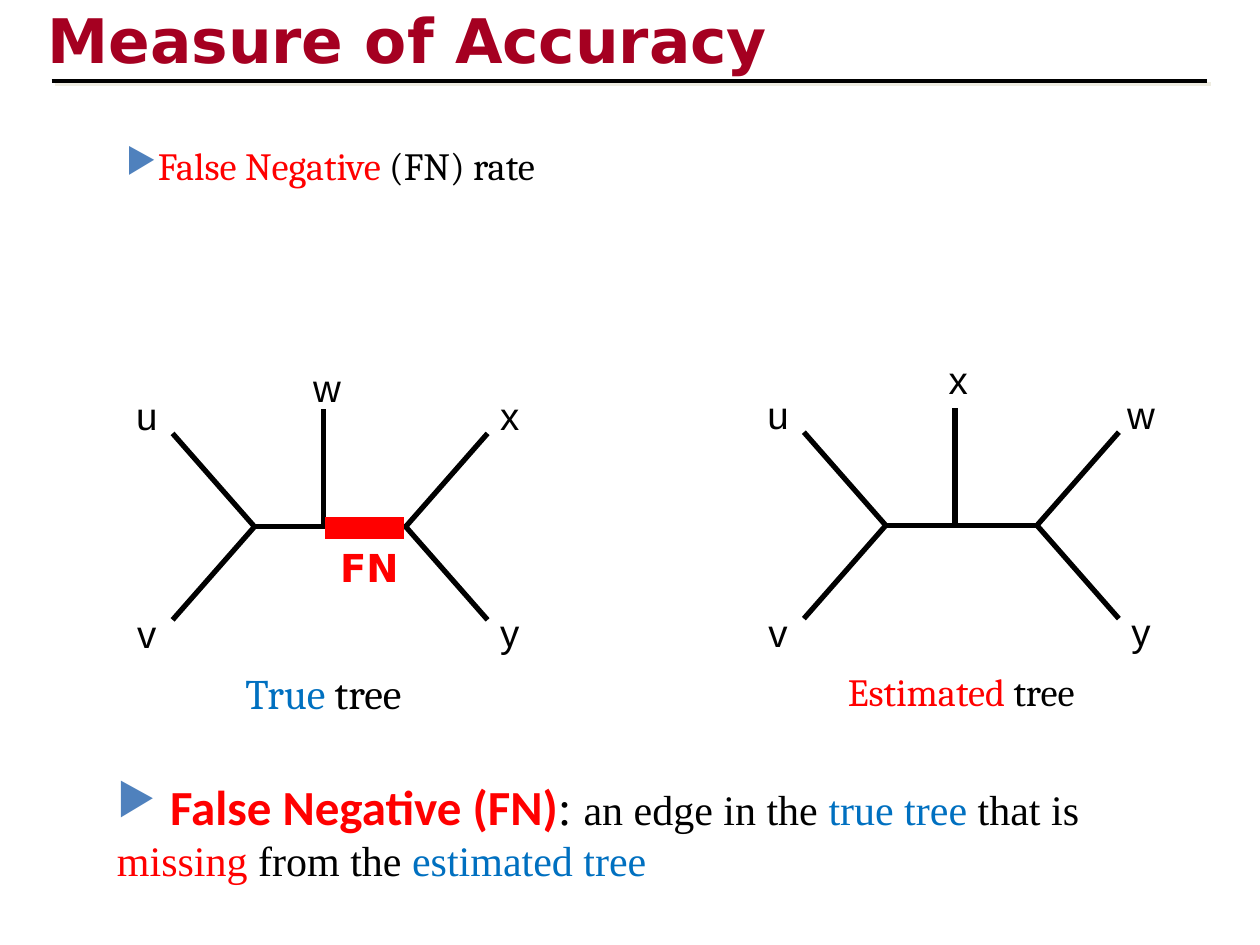
from dataclasses import dataclass

from lxml import etree
from pptx import Presentation
from pptx.dml.color import RGBColor
from pptx.enum.shapes import MSO_CONNECTOR
from pptx.enum.text import MSO_ANCHOR, PP_ALIGN
from pptx.oxml.ns import qn
from pptx.util import Inches, Pt


@dataclass(frozen=True)
class Theme:
    black: str = "000000"
    title: str = "A50021"
    red: str = "FF0000"
    blue: str = "0070C0"
    bullet: str = "4F81BD"
    shadow: str = "EEECE1"
    sans: str = "DejaVu Sans"
    label: str = "Arial"
    serif: str = "Cambria"
    body: str = "Times New Roman"
    strong: str = "Calibri"
    title_size: float = 35.1
    term_size: int = 28
    large: int = 24
    normal: int = 22


theme = Theme()


def add_text(area, runs, bullet=False, centered=False):
    """Add one paragraph of (text, size, font, colour, bold) runs in an area in inches."""
    box = page.shapes.add_textbox(*map(Inches, area))
    frame = box.text_frame
    frame.word_wrap = True
    para = frame.paragraphs[0]
    if centered:
        frame.margin_left = frame.margin_right = 0
        frame.margin_top = frame.margin_bottom = 0
        frame.vertical_anchor = MSO_ANCHOR.MIDDLE
        para.alignment = PP_ALIGN.CENTER
    if bullet:
        properties = para._p.get_or_add_pPr()
        color = etree.SubElement(properties, qn("a:buClr"))
        etree.SubElement(color, qn("a:srgbClr"), val=theme.bullet)
        etree.SubElement(properties, qn("a:buSzPct"), val="90000")
        etree.SubElement(properties, qn("a:buChar"), char="▶")
    for text, size, font, color, bold in runs:
        span = para.add_run()
        span.text = text
        span.font.size = Pt(size)
        span.font.name = font
        span.font.bold = bold
        span.font.color.rgb = RGBColor.from_string(color)
    return para


def add_line(start, end, width, color=theme.black):
    """Add a straight line and return its empty effect list."""
    line = page.shapes.add_connector(
        MSO_CONNECTOR.STRAIGHT, *map(Inches, (*start, *end)))
    line.line.width = Pt(width)
    line.line.color.rgb = RGBColor.from_string(color)
    return etree.SubElement(line._element.spPr, qn("a:effectLst"))


deck = Presentation()
deck.slide_width, deck.slide_height = Inches(10), Inches(7.5)
page = deck.slides.add_slide(deck.slide_layouts[6])

# Title and its rule share one soft shadow
title = add_text((0.28, -0.03, 8.5, 0.67), [
    ("Measure of Accuracy", theme.title_size, theme.sans, theme.title, True)])
title_effects = etree.Element(qn("a:effectLst"))
title.runs[0].font._element.find(qn("a:solidFill")).addnext(title_effects)
rule_effects = add_line((0.41, 0.64), (9.58, 0.64), 2.25)
for effects in (title_effects, rule_effects):
    shadow = etree.SubElement(effects, qn("a:outerShdw"),
                              dist=str(Pt(2.8)), dir="2700000", algn="ctr")
    etree.SubElement(shadow, qn("a:srgbClr"), val=theme.shadow)

add_text((0.9, 1.08, 5.35, 0.47), [
    ("False Negative", theme.normal, theme.serif, theme.red, False),
    (" (FN) rate", theme.normal, theme.serif, theme.black, False),
], bullet=True)

# Trees: left hub, height of the middle label, leaves u, v, middle, upper right, y
SPINE, STEM, STEM_HEIGHT = 1.2, 0.55, 0.93
BRANCH_X, BRANCH_Y = 0.65, 0.74
trees = [
    (2.02, 4.18, 1.36, "uvwxy"),
    (7.03, 4.17, 1.42, "uvxwy"),
]
for hub_x, hub_y, middle_rise, leaves in trees:
    for node_x, side in ((hub_x, -1), (hub_x + SPINE, 1)):
        for rise in (-BRANCH_Y, BRANCH_Y):
            add_line((node_x + side * BRANCH_X, hub_y + rise), (node_x, hub_y), 3)
    add_line((hub_x, hub_y), (hub_x + SPINE, hub_y), 3)
    add_line((hub_x + STEM, hub_y), (hub_x + STEM, hub_y - STEM_HEIGHT), 3)
    offsets = [(-1.18, -1.14), (-1.18, 0.59), (0.25, -middle_rise),
               (1.7, -1.14), (1.7, 0.58)]
    for leaf, (dx, dy) in zip(leaves, offsets):
        add_text((hub_x + dx, hub_y + dy, 0.65, 0.51), [
            (leaf, theme.normal, theme.label, theme.black, False)], centered=True)

# The missing edge
add_line((2.58, 4.19), (3.21, 4.19), 13, theme.red)
add_text((2.67, 4.27, 0.52, 0.46), [
    ("FN", theme.normal, theme.sans, theme.red, True)], centered=True)

add_text((0.83, 6.11, 8.75, 0.98), [
    (" ", theme.term_size, theme.body, theme.black, False),
    ("False Negative (FN)", theme.term_size, theme.strong, theme.red, True),
    (": ", theme.term_size, theme.body, theme.black, False),
    ("an edge in the ", theme.large, theme.body, theme.black, False),
    ("true tree ", theme.large, theme.body, theme.blue, False),
    ("that is ", theme.large, theme.body, theme.black, False),
    ("missing", theme.large, theme.body, theme.red, False),
    (" from the ", theme.large, theme.body, theme.black, False),
    ("estimated tree", theme.large, theme.body, theme.blue, False),
], bullet=True)

captions = [
    ((1.85, 5.25, 1.73, 0.5), "True ", theme.large, theme.blue),
    ((6.63, 5.25, 2.25, 0.47), "Estimated ", theme.normal, theme.red),
]
for area, kind, size, color in captions:
    add_text(area, [(kind, size, theme.serif, color, False),
                    ("tree", size, theme.serif, theme.black, False)])

deck.save("out.pptx")
